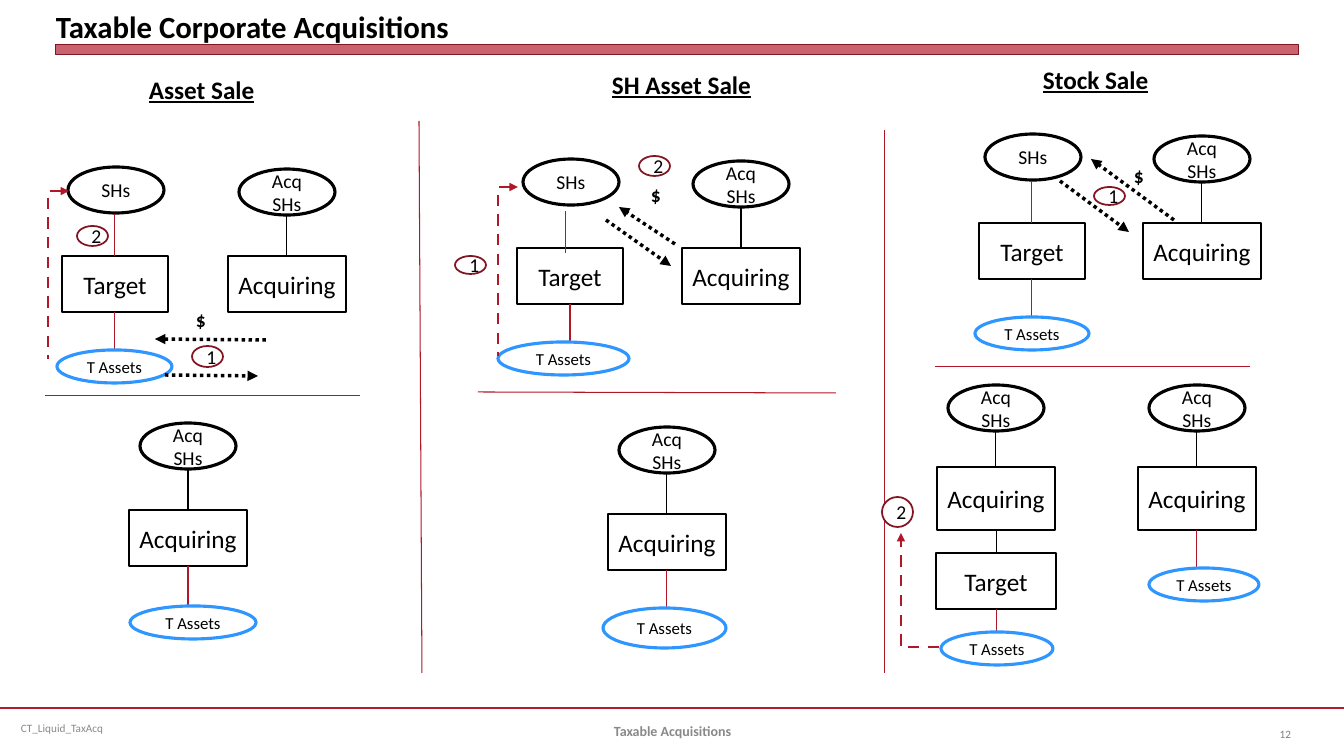
from dataclasses import dataclass
from typing import NamedTuple, Optional

from lxml import etree
from pptx import Presentation
from pptx import util as u
from pptx.dml.color import RGBColor
from pptx.enum import dml, shapes, text
from pptx.oxml import ns

PIXEL = 914400 / 100.8


@dataclass(frozen=True)
class Theme:
    font: str = "Calibri"
    black: str = "000000"
    white: str = "FFFFFF"
    crimson: str = "B01C2E"
    red: str = "B0182A"
    maroon: str = "821522"
    blue: str = "3096FF"
    footer_grey: str = "898989"
    number_grey: str = "808080"
    title: float = 22
    heading: float = 18
    holder: float = 14
    assets: float = 12
    footer: float = 10
    small: float = 8


class Box(NamedTuple):
    left: int
    top: int
    width: int
    height: int


class NodeStyle(NamedTuple):
    geometry: shapes.MSO_SHAPE
    line: str
    weight: float
    size: float
    fill: Optional[str] = None


class Stroke(NamedTuple):
    color: str
    weight: float
    dash: Optional[dml.MSO_LINE] = None
    arrow: Optional[str] = None


class Line(NamedTuple):
    x1: int
    y1: int
    x2: int
    y2: int


class Label(NamedTuple):
    words: str
    box: Box
    size: float
    color: str
    bold: bool = False
    underline: bool = False
    align: text.PP_ALIGN = text.PP_ALIGN.LEFT
    wrap: bool = True


THEME = Theme()
COMPANY = NodeStyle(shapes.MSO_SHAPE.RECTANGLE, THEME.black, 1, THEME.heading)
HOLDER = NodeStyle(shapes.MSO_SHAPE.OVAL, THEME.black, 2.25, THEME.holder)
ASSETS = NodeStyle(shapes.MSO_SHAPE.OVAL, THEME.blue, 2.25, THEME.assets)
STEP = NodeStyle(shapes.MSO_SHAPE.OVAL, THEME.maroon, 1.25, THEME.holder, THEME.white)
BLACK_LINK = Stroke(THEME.black, 0.75)
RED_LINK = Stroke(THEME.red, 0.75)
EXCHANGE = Stroke(THEME.black, 2.5, dml.MSO_LINE.ROUND_DOT, "tailEnd")
TRANSFER_IN = Stroke(THEME.red, 2, dml.MSO_LINE.DASH, "headEnd")
TRANSFER_OUT = TRANSFER_IN._replace(arrow="tailEnd")
ACQ_WRAPPED = "Acq SHs"
ACQ_STACKED = "Acq\nSHs"


def px(value: float) -> int:
    return round(value * PIXEL)


def place(box: Box) -> list[int]:
    return [px(value) for value in box]


def write(frame, words: str, size: float, color: str = THEME.black, bold: bool = False,
          underline: bool = False, align=text.PP_ALIGN.CENTER) -> None:
    frame.text = words
    for paragraph in frame.paragraphs:
        paragraph.alignment = align
        font = paragraph.font
        font.name, font.size, font.bold, font.underline = THEME.font, u.Pt(size), bold, underline
        font.color.rgb = RGBColor.from_string(color)


def draw_node(style: NodeStyle, words: str, box: Box) -> None:
    shape = slide.shapes.add_shape(style.geometry, *place(box))
    shape.shadow.inherit = False
    if style.fill:
        shape.fill.solid()
        shape.fill.fore_color.rgb = RGBColor.from_string(style.fill)
    else:
        shape.fill.background()
    shape.line.color.rgb = RGBColor.from_string(style.line)
    shape.line.width = u.Pt(style.weight)
    write(shape.text_frame, words, style.size)


def draw_line(stroke: Stroke, line: Line, elbow: bool = False) -> None:
    connector = slide.shapes.add_connector(shapes.MSO_CONNECTOR.STRAIGHT, *map(px, line))
    connector.line.color.rgb = RGBColor.from_string(stroke.color)
    connector.line.width = u.Pt(stroke.weight)
    if stroke.dash:
        connector.line.dash_style = stroke.dash
    properties = connector.element.find(ns.qn("p:spPr"))
    if elbow:
        properties.find(ns.qn("a:prstGeom")).set("prst", "bentConnector2")
    if stroke.arrow:
        outline = properties.find(ns.qn("a:ln"))
        etree.SubElement(outline, ns.qn(f"a:{stroke.arrow}"), type="triangle")
    etree.SubElement(properties, ns.qn("a:effectLst"))


def draw_label(label: Label) -> None:
    frame = slide.shapes.add_textbox(*place(label.box)).text_frame
    frame.word_wrap = label.wrap
    if label.wrap:
        frame.vertical_anchor = text.MSO_ANCHOR.MIDDLE
    else:
        frame.auto_size = text.MSO_AUTO_SIZE.SHAPE_TO_FIT_TEXT
    write(frame, label.words, label.size, label.color, label.bold, label.underline, label.align)


def draw_acquirer(left: int, top: int, holders: str = ACQ_STACKED,
                  height: int = 56, rise: int = 87) -> None:
    center = left + 59
    draw_node(COMPANY, "Acquiring", Box(left, top, 118, height))
    draw_node(HOLDER, holders, Box(left + 11, top - rise, 96, 46))
    draw_line(BLACK_LINK, Line(center, top - rise + 46, center, top))


def draw_target(left: int, top: int, assets_left: int, assets_width: int,
                shift: int = 0, drop: int = 0) -> None:
    center = left + 53
    draw_node(COMPANY, "Target", Box(left, top, 106, 56))
    draw_node(HOLDER, "SHs", Box(left + 6, top - 89, 96, 46))
    draw_line(RED_LINK, Line(center + shift, top - 42 + drop, center + shift, top + drop))
    draw_line(RED_LINK, Line(center, top + 56, center, top + 94))
    draw_node(ASSETS, "T Assets", Box(assets_left, top + 94, assets_width, 33))


def draw_title() -> None:
    title = slide.shapes.title
    title.left, title.top, title.width, title.height = place(Box(56, 5, 1243, 40))
    frame = title.text_frame
    frame.margin_left = frame.margin_right = frame.margin_top = frame.margin_bottom = 0
    frame.vertical_anchor = text.MSO_ANCHOR.BOTTOM
    frame.auto_size = text.MSO_AUTO_SIZE.NONE
    write(frame, "Taxable Corporate Acquisitions", THEME.title, bold=True, align=text.PP_ALIGN.LEFT)
    band = slide.shapes.add_shape(shapes.MSO_SHAPE.RECTANGLE, *place(Box(56, 45, 1243, 10)))
    band.shadow.inherit = False
    band.fill.solid()
    band.fill.fore_color.rgb = RGBColor.from_string(THEME.crimson)
    band_color = band.element.find(".//" + ns.qn("a:srgbClr"))
    etree.SubElement(band_color, ns.qn("a:alpha"), val="69000")
    band.line.color.rgb = RGBColor.from_string(THEME.maroon)
    band.line.width = u.Pt(0)


presentation = Presentation()
presentation.slide_width, presentation.slide_height = px(1344), px(756)
slide = presentation.slides.add_slide(presentation.slide_layouts[5])
draw_title()

draw_line(Stroke(THEME.crimson, 1.25), Line(0, 708, 1344, 708))
for divider in (Line(419, 121, 422, 673), Line(885, 130, 885, 673), Line(45, 396, 360, 396),
                Line(478, 392, 836, 393), Line(935, 367, 1250, 367)):
    draw_line(RED_LINK, divider)

draw_target(62, 256, 57, 115)
draw_target(517, 248, 498, 131, shift=-4, drop=5)
draw_target(979, 223, 975, 114)
for left, top in ((228, 256), (682, 248)):
    draw_acquirer(left, top, ACQ_WRAPPED)
for left, top in ((1143, 223), (129, 510), (608, 514)):
    draw_acquirer(left, top)
for left in (937, 1138):
    draw_acquirer(left, 467, height=63, rise=82)
draw_node(COMPANY, "Target", Box(936, 553, 120, 56))
draw_line(BLACK_LINK, Line(997, 530, 997, 553))

for x, bottom, assets in ((188, 566, Box(130, 606, 126, 33)), (667, 570, Box(603, 608, 123, 40)),
                          (997, 609, Box(941, 632, 112, 33)), (1197, 530, Box(1149, 568, 110, 33))):
    draw_line(RED_LINK, Line(x, bottom, x, assets.top))
    draw_node(ASSETS, "T Assets", assets)

for exchange in (Line(266, 340, 155, 339), Line(165, 375, 258, 376), Line(606, 220, 671, 266),
                 Line(675, 244, 619, 207), Line(1060, 181, 1129, 232), Line(1174, 220, 1091, 159)):
    draw_line(EXCHANGE, exchange)
for stroke, transfer in ((TRANSFER_IN, Line(69, 191, 48, 359)), (TRANSFER_IN, Line(518, 187, 498, 356)),
                         (TRANSFER_OUT, Line(939, 647, 901, 533))):
    draw_line(stroke, transfer, elbow=True)
for number, left, top, height in (("1", 192, 346, 21), ("2", 77, 226, 20), ("2", 639, 156, 20),
                                  ("1", 455, 256, 18), ("1", 1094, 187, 18), ("2", 882, 497, 30)):
    draw_node(STEP, number, Box(left, top, 31, height))

for left, top in ((186, 303), (641, 178), (1124, 159)):
    draw_label(Label("$", Box(left, top, 30, 34), THEME.holder, THEME.black, bold=True, wrap=False))
for words, left, top, width in (("Asset Sale", 139, 69, 127), ("SH Asset Sale", 602, 64, 166),
                                ("Stock Sale", 1033, 59, 127)):
    draw_label(Label(words, Box(left, top, width, 40), THEME.heading, THEME.black,
                     bold=True, underline=True, wrap=False))
for footer in (
    Label("CT_Liquid_TaxAcq", Box(11, 708, 347, 40), THEME.small, THEME.footer_grey),
    Label("Taxable Acquisitions", Box(460, 711, 425, 40), THEME.footer, THEME.footer_grey,
          bold=True, align=text.PP_ALIGN.CENTER),
    Label("12", Box(1233, 714, 68, 40), THEME.small, THEME.number_grey, align=text.PP_ALIGN.RIGHT),
):
    draw_label(footer)

presentation.save("out.pptx")
